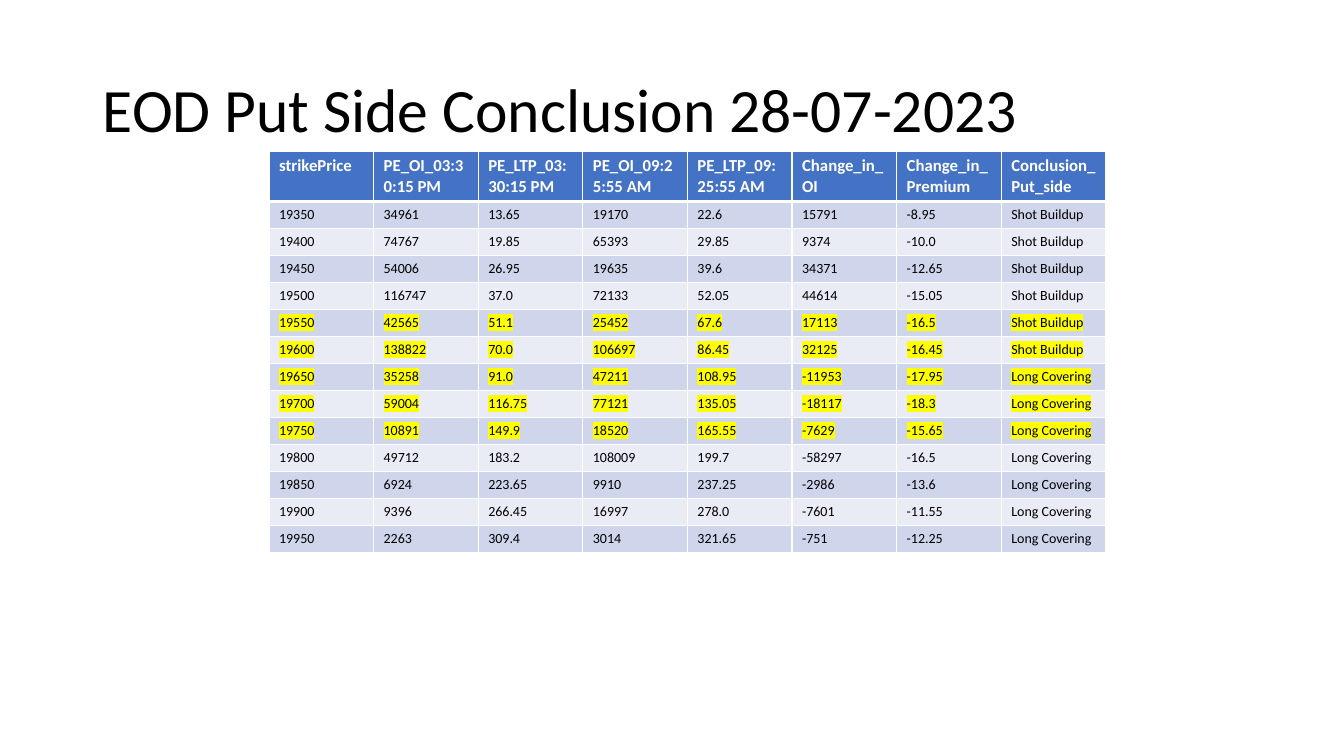
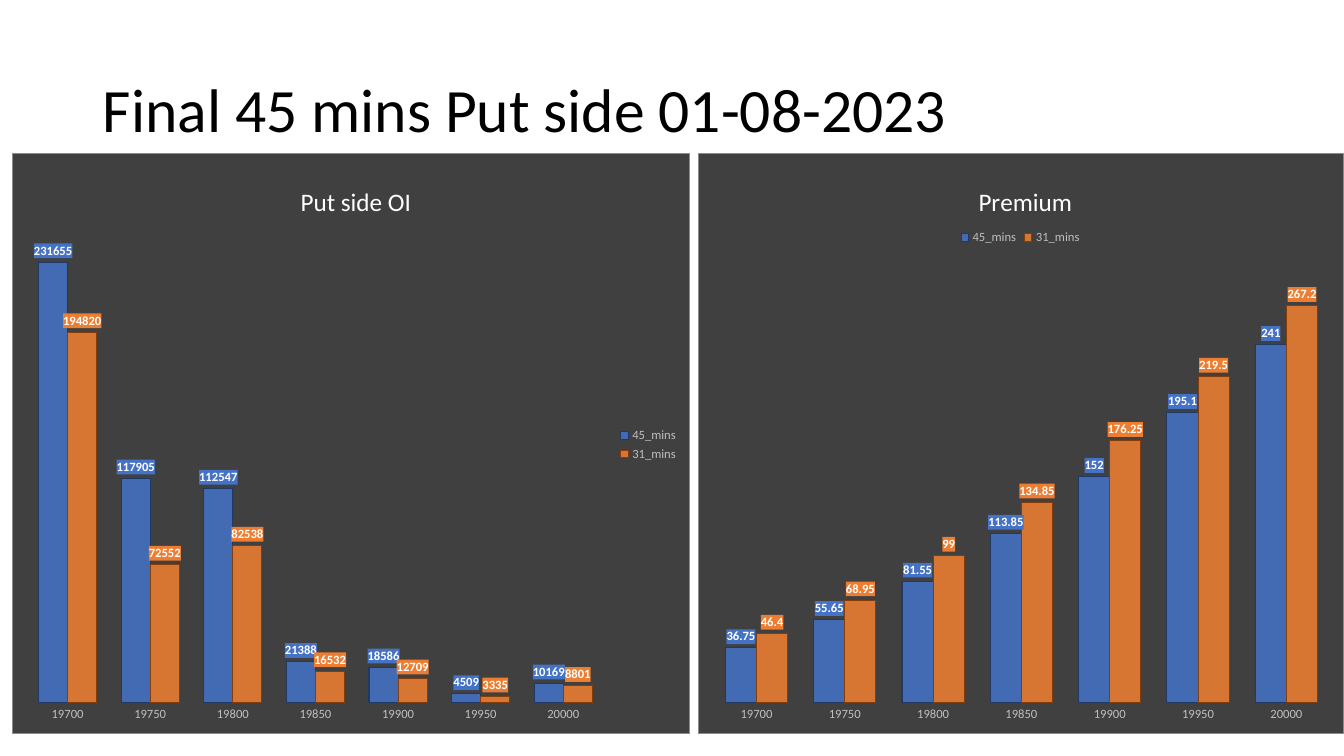
from lxml import etree
from pptx import Presentation
from pptx import util as u
from pptx.chart.data import CategoryChartData
from pptx.dml.color import RGBColor
from pptx.enum import chart as ch, text
from pptx.oxml import parse_xml
from pptx.oxml.ns import nsdecls, qn

PX = 12192000 / 1344
FACE = "Calibri"
BLACK = RGBColor(0, 0, 0)
WHITE = RGBColor(255, 255, 255)
BLUE = RGBColor(0x44, 0x72, 0xC4)
NAVY = RGBColor(0x20, 0x38, 0x64)
ORANGE = RGBColor(0xED, 0x7D, 0x31)
BROWN = RGBColor(0x84, 0x3C, 0x0B)
BANDS = RGBColor(0xCF, 0xD5, 0xEA), RGBColor(0xE9, 0xEB, 0xF5)
YELLOW = RGBColor(255, 255, 0)
DARK = RGBColor(0x40, 0x40, 0x40)
GRAY = RGBColor(0x8C, 0x8C, 0x8C)
SILVER = RGBColor(0xBF, 0xBF, 0xBF)

# Content
HEADS = ["strikePrice", "PE_OI_03:30:15 PM", "PE_LTP_03:30:15 PM",
         "PE_OI_09:25:55 AM", "PE_LTP_09:25:55 AM", "Change_in_OI",
         "Change_in_Premium", "Conclusion_Put_side"]
ROWS = [
    "19350 34961 13.65 19170 22.6 15791 -8.95",
    "19400 74767 19.85 65393 29.85 9374 -10.0",
    "19450 54006 26.95 19635 39.6 34371 -12.65",
    "19500 116747 37.0 72133 52.05 44614 -15.05",
    "19550 42565 51.1 25452 67.6 17113 -16.5",
    "19600 138822 70.0 106697 86.45 32125 -16.45",
    "19650 35258 91.0 47211 108.95 -11953 -17.95",
    "19700 59004 116.75 77121 135.05 -18117 -18.3",
    "19750 10891 149.9 18520 165.55 -7629 -15.65",
    "19800 49712 183.2 108009 199.7 -58297 -16.5",
    "19850 6924 223.65 9910 237.25 -2986 -13.6",
    "19900 9396 266.45 16997 278.0 -7601 -11.55",
    "19950 2263 309.4 3014 321.65 -751 -12.25",
]
MARKED = range(19550, 19751)
STRIKES = [str(n) for n in range(19700, 20001, 50)]
SERIES = [("45_mins", BLUE, NAVY), ("31_mins", ORANGE, BROWN)]
# Boxes are left, top, width, height on the slide
CHARTS = [
    dict(title="Put side OI", box=(12, 153, 678, 581), top=250000,
         head=(296, 179), plot=(26, 227, 579, 476), key=(617, 424),
         side=ch.XL_LEGEND_POSITION.RIGHT,
         vals=[(231655, 117905, 112547, 21388, 18586, 4509, 10169),
               (194820, 72552, 82538, 16532, 12709, 3335, 8801)]),
    dict(title="Premium", box=(698, 153, 646, 581), top=300,
         head=(974, 179), plot=(712, 257, 619, 446), key=(957, 226),
         side=ch.XL_LEGEND_POSITION.TOP,
         vals=[(36.75, 55.65, 81.55, 113.85, 152, 195.1, 241),
               (46.4, 68.95, 99, 134.85, 176.25, 219.5, 267.2)]),
]


def px(*nums):
    return [u.Emu(round(n * PX)) for n in nums]


def style(font, size, color, bold=False):
    font.name, font.size, font.bold = FACE, u.Pt(size), bold
    font.color.rgb = color


def add_slide(prs, title):
    slide = prs.slides.add_slide(prs.slide_layouts[6])
    frame = slide.shapes.add_textbox(*px(93, 40, 1159, 146)).text_frame
    frame.word_wrap = True
    frame.vertical_anchor = text.MSO_ANCHOR.MIDDLE
    para = frame.paragraphs[0]
    para.text, para.line_spacing = title, 0.9
    style(para.font, 44, BLACK)
    return slide


# Table
def fill_cell(cell, words, size, color, fill, edges, bold=False, mark=False):
    para = cell.text_frame.paragraphs[0]
    run = para.add_run()
    run.text = words
    style(para.font, size, color, bold)
    if mark:
        run._r.get_or_add_rPr().append(parse_xml(
            f'<a:highlight {nsdecls("a")}><a:srgbClr val="{YELLOW}"/></a:highlight>'))
    for side, wide in zip("LRTB", edges):
        cell._tc.get_or_add_tcPr().append(parse_xml(
            f'<a:ln{side} {nsdecls("a")} w="{u.Pt(wide)}"><a:solidFill>'
            f'<a:srgbClr val="{WHITE}"/></a:solidFill></a:ln{side}>'))
    cell.fill.solid()
    cell.fill.fore_color.rgb = fill


def add_grid(slide):
    high, low = 49, 27
    table = slide.shapes.add_table(
        len(ROWS) + 1, len(HEADS),
        *px(269, 151, 837, high + low * len(ROWS))).table
    for i, row in enumerate(table.rows):
        row.height = px(low if i else high)[0]
    for cell, head in zip(table.rows[0].cells, HEADS):
        fill_cell(cell, head, 12, WHITE, BLUE, (1, 1, 1, 3), bold=True)
    for i, line in enumerate(ROWS):
        vals = line.split()
        vals.append("Shot Buildup" if int(vals[5]) > 0 else "Long Covering")
        for cell, val in zip(table.rows[i + 1].cells, vals):
            fill_cell(cell, val, 10, BLACK, BANDS[i % 2],
                      (1, 1, 1 if i else 3, 1), mark=int(vals[0]) in MARKED)


# Charts
def place(node, index, box, spot):
    """Pin a chart part to a slide position, as shares of the chart box."""
    for old in node.findall(qn("c:layout")):
        node.remove(old)
    left, top, wide, high = box
    parts = {"x": (spot[0] - left) / wide, "y": (spot[1] - top) / high}
    inner = ""
    if len(spot) == 4:
        inner = '<c:layoutTarget val="inner"/>'
        parts.update(w=spot[2] / wide, h=spot[3] / high)
    modes = "".join(f'<c:{k}Mode val="edge"/>' for k in "xy")
    sizes = "".join(f'<c:{k} val="{v:.4f}"/>' for k, v in parts.items())
    node.insert(index, parse_xml(
        f'<c:layout {nsdecls("c")}><c:manualLayout>{inner}{modes}{sizes}'
        '</c:manualLayout></c:layout>'))


def paint(node, fill, line=""):
    """Add fill and line ahead of the text properties of a chart part."""
    node.find(qn("c:txPr")).addprevious(parse_xml(
        f'<c:spPr {nsdecls("c", "a")}><a:solidFill><a:srgbClr val="{fill}"/>'
        f'</a:solidFill>{line}</c:spPr>'))


def add_bars(slide, spec_):
    data = CategoryChartData()
    data.categories = STRIKES
    for (name, _, _), vals in zip(SERIES, spec_["vals"]):
        data.add_series(name, vals)
    box = spec_["box"]
    chart = slide.shapes.add_chart(
        ch.XL_CHART_TYPE.COLUMN_CLUSTERED, *px(*box), data).chart
    style(chart.font, 10, BLACK)
    root = chart._chartSpace
    paint(root, DARK, f'<a:ln w="{u.Pt(0.5)}"><a:solidFill>'
                      f'<a:srgbClr val="{GRAY}"/></a:solidFill></a:ln>')
    # Title and legend
    para = chart.chart_title.text_frame.paragraphs[0]
    para.text = spec_["title"]
    style(para.font, 18, WHITE)
    chart.has_legend = True
    chart.legend.position = spec_["side"]
    chart.legend.include_in_layout = False
    style(chart.legend.font, 9, SILVER)
    # Axes
    axis = chart.category_axis
    axis.major_tick_mark = ch.XL_TICK_MARK.NONE
    axis.format.line.fill.background()
    style(axis.tick_labels.font, 9, SILVER)
    scale = chart.value_axis
    scale.visible = scale.has_major_gridlines = False
    scale.minimum_scale, scale.maximum_scale = 0, spec_["top"]
    # Bars and labels
    plot = chart.plots[0]
    plot.gap_width, plot.overlap, plot.vary_by_categories = 84, 0, False
    for bars, (_, color, edge) in zip(plot.series, SERIES):
        look = bars.format
        look.fill.solid()
        look.fill.fore_color.rgb = color
        tint = bars._element.find(f'{qn("c:spPr")}/{qn("a:solidFill")}')[0]
        etree.SubElement(tint, qn("a:alpha"), val="88000")
        look.line.color.rgb, look.line.width = edge, u.Pt(0.75)
        labels = bars.data_labels
        labels.show_value = True
        labels.position = ch.XL_LABEL_POSITION.OUTSIDE_END
        style(labels.font, 9, WHITE, True)
        paint(labels._element, color)
    for tag, index, spot in (("title", 1, "head"), ("plotArea", 0, "plot"),
                             ("legend", 1, "key")):
        place(root.chart.find(qn("c:" + tag)), index, box, spec_[spot])


def main():
    prs = Presentation()
    prs.slide_width, prs.slide_height = px(1344, 756)
    add_grid(add_slide(prs, "EOD Put Side Conclusion 28-07-2023"))
    slide = add_slide(prs, "Final 45 mins Put side 01-08-2023")
    for item in CHARTS:
        add_bars(slide, item)
    prs.save("out.pptx")


if __name__ == "__main__":
    main()
